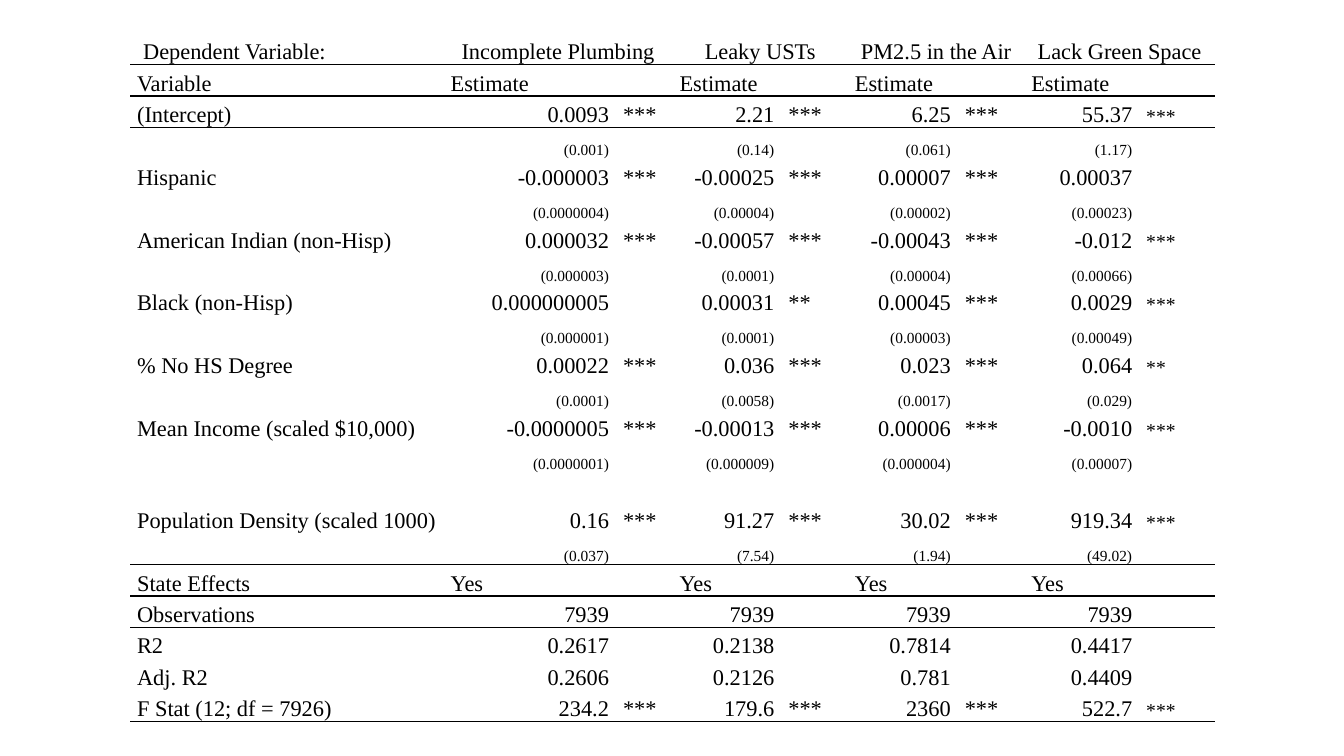
from lxml.etree import SubElement
from pptx import Presentation
from pptx.dml.color import RGBColor
from pptx.enum.text import MSO_ANCHOR, PP_ALIGN
from pptx.oxml.ns import qn
from pptx.util import Inches, Pt

FONT = "Times New Roman"
INK = "000000"
NO_STYLE = "{2D5ABB26-0587-4C30-8999-92F81FD0307C}"
BODY_SIZE, LAST_STARS_SIZE, ERROR_SIZE = 16, 14, 11

# Table geometry
LEFT, TOP, HEIGHT = 1.29, 0.33, 6.83
COLUMN_WIDTHS = [3.11, 1.71, 0.56, 1.08, 0.66, 1.09, 0.66, 1.14, 0.75]
DENSITY_ROW, DENSITY_HEIGHT = 14, 0.6
RULED_ROWS = {0, 1, 15, 16, 20}  # rows with a line below

# Regression results: label, estimates with stars, standard errors
OUTCOMES = ["Incomplete Plumbing", "Leaky USTs", "PM2.5 in the Air", "Lack Green Space"]
COEFFICIENTS = [
    ("(Intercept)", ["0.0093***", "2.21***", "6.25***", "55.37***"],
     ["(0.001)", "(0.14)", "(0.061)", "(1.17)"]),
    ("Hispanic", ["-0.000003***", "-0.00025***", "0.00007***", "0.00037"],
     ["(0.0000004)", "(0.00004)", "(0.00002)", "(0.00023)"]),
    ("American Indian (non-Hisp)", ["0.000032***", "-0.00057***", "-0.00043***", "-0.012***"],
     ["(0.000003)", "(0.0001)", "(0.00004)", "(0.00066)"]),
    ("Black (non-Hisp)", ["0.000000005", "0.00031**", "0.00045***", "0.0029***"],
     ["(0.000001)", "(0.0001)", "(0.00003)", "(0.00049)"]),
    ("% No HS Degree", ["0.00022***", "0.036***", "0.023***", "0.064**"],
     ["(0.0001)", "(0.0058)", "(0.0017)", "(0.029)"]),
    ("Mean Income (scaled $10,000)", ["-0.0000005***", "-0.00013***", "0.00006***", "-0.0010***"],
     ["(0.0000001)", "(0.000009)", "(0.000004)", "(0.00007)"]),
    ("Population Density (scaled 1000)", ["0.16***", "91.27***", "30.02***", "919.34***"],
     ["(0.037)", "(7.54)", "(1.94)", "(49.02)"]),
]
FIT_STATISTICS = [
    ("Observations", ["7939"] * 4),
    ("R2", ["0.2617", "0.2138", "0.7814", "0.4417"]),
    ("Adj. R2", ["0.2606", "0.2126", "0.781", "0.4409"]),
    ("F Stat (12; df = 7926)", ["234.2***", "179.6***", "2360***", "522.7***"]),
]


def color(hex_value):
    return RGBColor.from_string(hex_value)


def apply(target, values):
    for name, value in values.items():
        setattr(target, name, value)


def add_rule(cell, side):
    line = SubElement(cell._tc.get_or_add_tcPr(), qn(f"a:ln{side}"), w=str(Pt(1)))
    fill = SubElement(line, qn("a:solidFill"))
    SubElement(fill, qn("a:srgbClr"), val=INK)


def write(cell, text, size=BODY_SIZE, align=PP_ALIGN.LEFT):
    paragraph = cell.text_frame.paragraphs[0]
    apply(paragraph, {"alignment": align, "line_spacing": 1.07})
    if text:
        run = paragraph.add_run()
        run.text = text
        apply(run.font, {"name": FONT, "size": Pt(size)})
        run.font.color.rgb = color(INK)
    else:  # keeps blank cells from stretching their row
        SubElement(paragraph._p, qn("a:endParaRPr"), sz=str(size * 100))


def write_row(table, row, label, entries, size=BODY_SIZE, align=PP_ALIGN.RIGHT):
    write(table.cell(row, 0), label, size)
    for index, entry in enumerate(entries):
        value = entry.rstrip("*")
        stars = entry[len(value):]
        column = 1 + 2 * index
        last = index == len(entries) - 1
        write(table.cell(row, column), value, size, align)
        write(table.cell(row, column + 1), stars, LAST_STARS_SIZE if last else size)


def write_outcomes(table):
    write(table.cell(0, 0), "Dependent Variable:")
    for index, outcome in enumerate(OUTCOMES):
        column = 1 + 2 * index
        heading = table.cell(0, column)
        heading.merge(table.cell(0, column + 1))
        write(heading, outcome, align=PP_ALIGN.CENTER)


def format_cells(table, row_count):
    for row in range(row_count):
        for column in range(len(COLUMN_WIDTHS)):
            cell = table.cell(row, column)
            apply(cell, {
                "margin_left": Inches(0.07),
                "margin_right": Inches(0.07 if column else 0.05),
                "margin_top": 0,
                "margin_bottom": 0,
                "vertical_anchor": MSO_ANCHOR.BOTTOM,
            })
            if row - 1 in RULED_ROWS:
                add_rule(cell, "T")
            if row in RULED_ROWS:
                add_rule(cell, "B")
            cell.fill.background()
    table.cell(0, 0).margin_left = Inches(0.13)


def add_results_table(slide, row_count):
    frame = slide.shapes.add_table(
        row_count, len(COLUMN_WIDTHS), Inches(LEFT), Inches(TOP),
        Inches(sum(COLUMN_WIDTHS)), Inches(HEIGHT))
    table = frame.table
    apply(table, {"first_row": False, "horz_banding": False})
    table._tbl.tblPr.find(qn("a:tableStyleId")).text = NO_STYLE
    for column, width in zip(table.columns, COLUMN_WIDTHS):
        column.width = Inches(width)
    for row in table.rows:
        row.height = Inches((HEIGHT - DENSITY_HEIGHT) / (row_count - 1))
    table.rows[DENSITY_ROW].height = Inches(DENSITY_HEIGHT)
    format_cells(table, row_count)
    return table


def main():
    prs = Presentation()
    apply(prs, {"slide_width": Inches(13.33), "slide_height": Inches(7.5)})
    slide = prs.slides.add_slide(prs.slide_layouts[6])

    # Rows below the outcome headings
    body = [("Variable", ["Estimate"] * 4, BODY_SIZE, PP_ALIGN.LEFT)]
    for label, estimates, errors in COEFFICIENTS:
        body.append((label, estimates))
        body.append(("", errors, ERROR_SIZE))
    body.append(("State Effects", ["Yes"] * 4, BODY_SIZE, PP_ALIGN.LEFT))
    body.extend(FIT_STATISTICS)

    # Table
    table = add_results_table(slide, len(body) + 1)
    write_outcomes(table)
    for row, content in enumerate(body, start=1):
        write_row(table, row, *content)

    prs.save("out.pptx")


if __name__ == "__main__":
    main()
